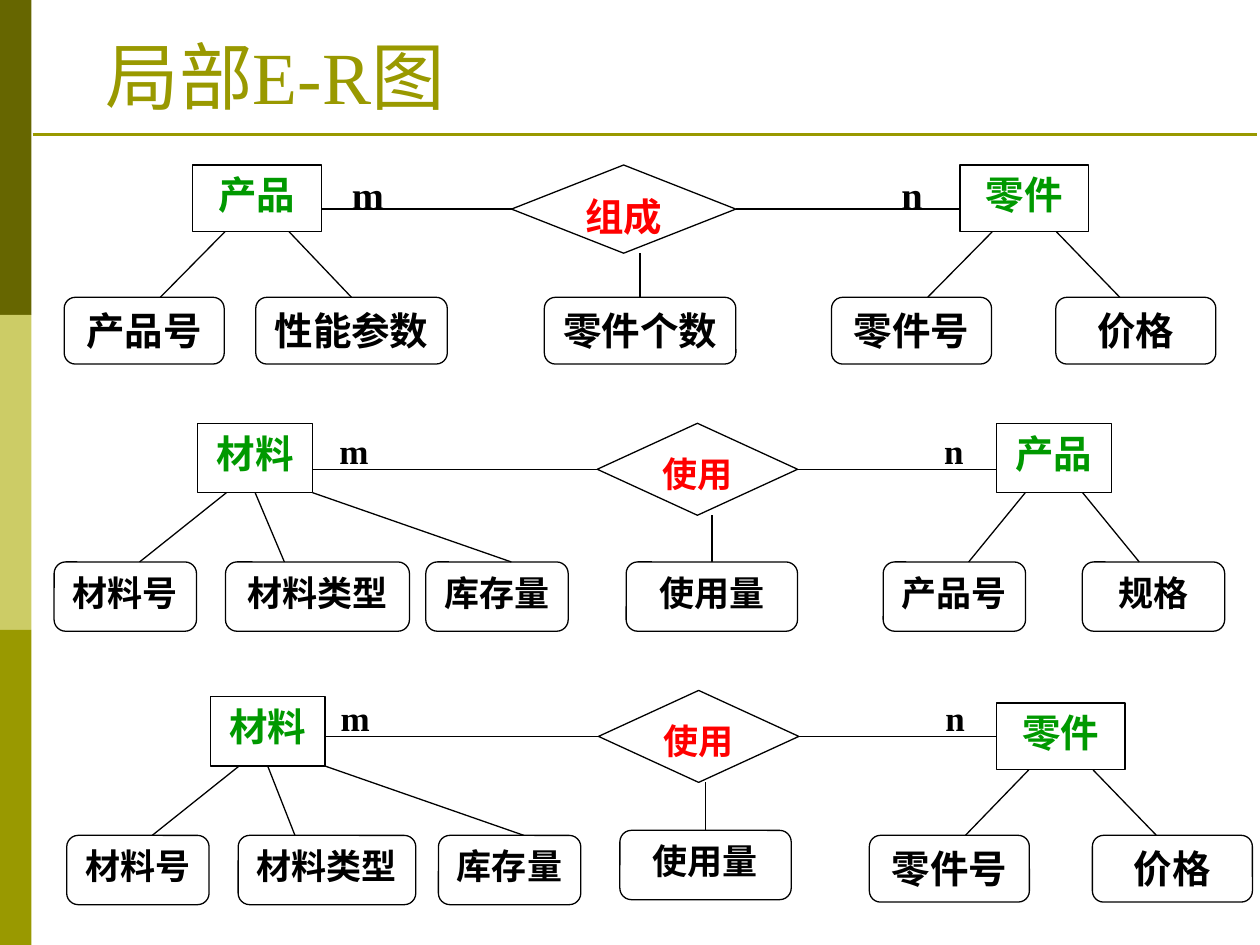
from collections import namedtuple

import pptx
import pptx.dml.color
import pptx.enum.shapes
import pptx.enum.text
import pptx.oxml.ns
import pptx.util
from lxml import etree

COLORS = {
    "dark": "666600", "light": "CCCC66", "olive": "999900", "white": "FFFFFF",
    "black": "000000", "entity": "009900", "relation": "FF0000",
}
LATIN, CHINESE = "Times New Roman", "Noto Sans CJK SC"
SHAPES = pptx.enum.shapes.MSO_SHAPE
SLIDE_WIDTH, SLIDE_HEIGHT = pptx.util.Inches(10), pptx.util.Inches(7.5)
COLUMN, ROW = SLIDE_WIDTH / 100, SLIDE_HEIGHT / 75

Box = namedtuple("Box", "left top width height")
Attribute = namedtuple("Attribute", "text left width leave arrive font", defaults=[LATIN])
Entity = namedtuple("Entity", "text left top width height size attribute_top attributes")
Relation = namedtuple("Relation", "text left width height size")
Measure = namedtuple("Measure", "text left top width height")
Cardinality = namedtuple("Cardinality", "text left width")


def rgb(name):
    return pptx.dml.color.RGBColor.from_string(COLORS[name])


def place(box):
    return (round(box.left * COLUMN), round(box.top * ROW),
            round(box.width * COLUMN), round(box.height * ROW))


def add_text(frame, text, size, color, font=LATIN, bold=True):
    run = frame.paragraphs[0].add_run()
    run.text = text
    run.font.size = pptx.util.Pt(size)
    run.font.bold = bold
    run.font.name = font
    run.font.color.rgb = rgb(color)
    east_asian = etree.SubElement(run.font._element, pptx.oxml.ns.qn("a:ea"))
    east_asian.set("typeface", CHINESE)


def add_block(slide, kind, box, fill="white", line=None):
    block = slide.shapes.add_shape(kind, *place(box))
    block.shadow.inherit = False
    block.fill.solid()
    block.fill.fore_color.rgb = rgb(fill)
    if line:
        block.line.color.rgb = rgb(line)
        block.line.width = pptx.util.Pt(0.75)
    else:
        block.line.fill.background()
    return block


def add_node(slide, kind, box, text, size, color="black", line="black", font=LATIN):
    node = add_block(slide, kind, box, line=line)
    frame = node.text_frame
    frame.word_wrap = True
    frame.vertical_anchor = pptx.enum.text.MSO_ANCHOR.TOP
    frame.paragraphs[0].alignment = pptx.enum.text.PP_ALIGN.CENTER
    add_text(frame, text, size, color, font)


def add_link(slide, x1, y1, x2, y2, color="black", width=0.75):
    link = slide.shapes.add_connector(
        pptx.enum.shapes.MSO_CONNECTOR.STRAIGHT,
        round(x1 * COLUMN), round(y1 * ROW), round(x2 * COLUMN), round(y2 * ROW))
    link.line.color.rgb = rgb(color)
    link.line.width = pptx.util.Pt(width)
    properties = link._element.find(pptx.oxml.ns.qn("p:spPr"))
    etree.SubElement(properties, pptx.oxml.ns.qn("a:effectLst"))


def add_sidebar(slide, box):
    band = box.height / 3
    for index, color in enumerate(("dark", "light", "olive")):
        add_block(slide, SHAPES.RECTANGLE,
                  Box(box.left, box.top + index * band, box.width, band), color)


def add_heading(slide, box, text):
    title = slide.shapes.title
    title.left, title.top, title.width, title.height = place(box)
    frame = title.text_frame
    frame.word_wrap = True
    frame.vertical_anchor = pptx.enum.text.MSO_ANCHOR.BOTTOM
    frame.paragraphs[0].alignment = pptx.enum.text.PP_ALIGN.LEFT
    add_text(frame, text, 42, "olive", bold=False)
    add_link(slide, 2.6, 10.7, 99.8, 10.7, "olive", 1.5)


def add_entity(slide, box, entity):
    left, top = box.left + entity.left, box.top + entity.top
    attribute_top = box.top + entity.attribute_top
    add_node(slide, SHAPES.RECTANGLE, Box(left, top, entity.width, entity.height),
             entity.text, 22, "entity")
    for attribute in entity.attributes:
        attribute_left = box.left + attribute.left
        add_node(slide, SHAPES.ROUNDED_RECTANGLE,
                 Box(attribute_left, attribute_top, attribute.width, entity.height),
                 attribute.text, entity.size, font=attribute.font)
        add_link(slide, left + attribute.leave * entity.width, top + entity.height,
                 attribute_left + attribute.arrive * attribute.width, attribute_top)


def add_diagram(slide, box, cardinalities, entities, relation, measure):
    first, second = entities
    for cardinality in cardinalities:
        add_node(slide, SHAPES.RECTANGLE,
                 Box(box.left + cardinality.left, box.top, cardinality.width, first.height),
                 cardinality.text, relation.size, line=None)

    left, middle = box.left + relation.left, box.top + relation.height / 2
    add_link(slide, box.left + first.left + first.width, middle, left, middle)
    add_link(slide, left + relation.width, middle, box.left + second.left, middle)
    add_node(slide, SHAPES.DIAMOND, Box(left, box.top, relation.width, relation.height),
             relation.text, relation.size, "relation")

    measure_left, measure_top = box.left + measure.left, box.top + measure.top
    stem = measure_left + measure.width / 2
    add_link(slide, stem, box.top + relation.height, stem, measure_top)
    add_node(slide, SHAPES.ROUNDED_RECTANGLE,
             Box(measure_left, measure_top, measure.width, measure.height),
             measure.text, relation.size)

    for entity in entities:
        add_entity(slide, box, entity)


def material_attributes(type_width, stock_left):
    return [Attribute("材料号", 0, 11.3, 0.25, 0.6),
            Attribute("材料类型", 13.6, type_width, 0.5, 0.32, CHINESE),
            Attribute("库存量", stock_left, 11.3, 1, 0.6)]


def attribute_pair(texts, left, width, step):
    return [Attribute(texts[0], left, width, 0.25, 0.6),
            Attribute(texts[1], left + step, width, 0.75, 0.4)]


DIAGRAMS = [
    (Box(5.1, 13.1, 91.4, 15.8),
     [Cardinality("n", 63.5, 7.6), Cardinality("m", 20.3, 7.6)],
     [Entity("产品", 10.2, 0, 10.2, 5.3, 22, 10.5,
             [Attribute("产品号", 0, 12.7, 0.25, 0.6),
              Attribute("性能参数", 15.2, 15.2, 0.75, 0.5)]),
      Entity("零件", 71.1, 0, 10.2, 5.3, 22, 10.5,
             attribute_pair(("零件号", "价格"), 60.9, 12.7, 17.8))],
     Relation("组成", 35.5, 17.8, 7, 22),
     Measure("零件个数", 38.1, 10.5, 15.2, 5.3)),
    (Box(4.3, 33.6, 92.9, 16.5),
     [Cardinality("n", 68, 6.8), Cardinality("m", 20.4, 6.8)],
     [Entity("材料", 11.4, 0, 9.1, 5.5, 20, 11, material_attributes(14.6, 29.5)),
      Entity("产品", 74.8, 0, 9.1, 5.5, 20, 11,
             attribute_pair(("产品号", "规格"), 65.8, 11.3, 15.8))],
     Relation("使用", 43.1, 15.9, 7.3, 20),
     Measure("使用量", 45.4, 11, 13.6, 5.5)),
    (Box(5.3, 54.8, 94.1, 17),
     [Cardinality("n", 67.1, 6.8), Cardinality("m", 19.5, 6.8)],
     [Entity("材料", 11.4, 0.5, 9.1, 5.5, 20, 11.5, material_attributes(14.1, 29.5)),
      Entity("零件", 73.8, 1, 10.2, 5.3, 22, 11.5,
             attribute_pair(("零件号", "价格"), 63.7, 12.7, 17.7))],
     Relation("使用", 42.2, 15.9, 7.3, 20),
     Measure("使用量", 43.9, 11.1, 13.6, 5.5)),
]


def main():
    presentation = pptx.Presentation()
    presentation.slide_width, presentation.slide_height = SLIDE_WIDTH, SLIDE_HEIGHT
    slide = presentation.slides.add_slide(presentation.slide_layouts[5])
    add_sidebar(slide, Box(0, 0, 2.5, 75))
    add_heading(slide, Box(7.4, 3, 87.8, 7), "局部E-R图")
    for diagram in DIAGRAMS:
        add_diagram(slide, *diagram)
    presentation.save("out.pptx")


if __name__ == "__main__":
    main()
